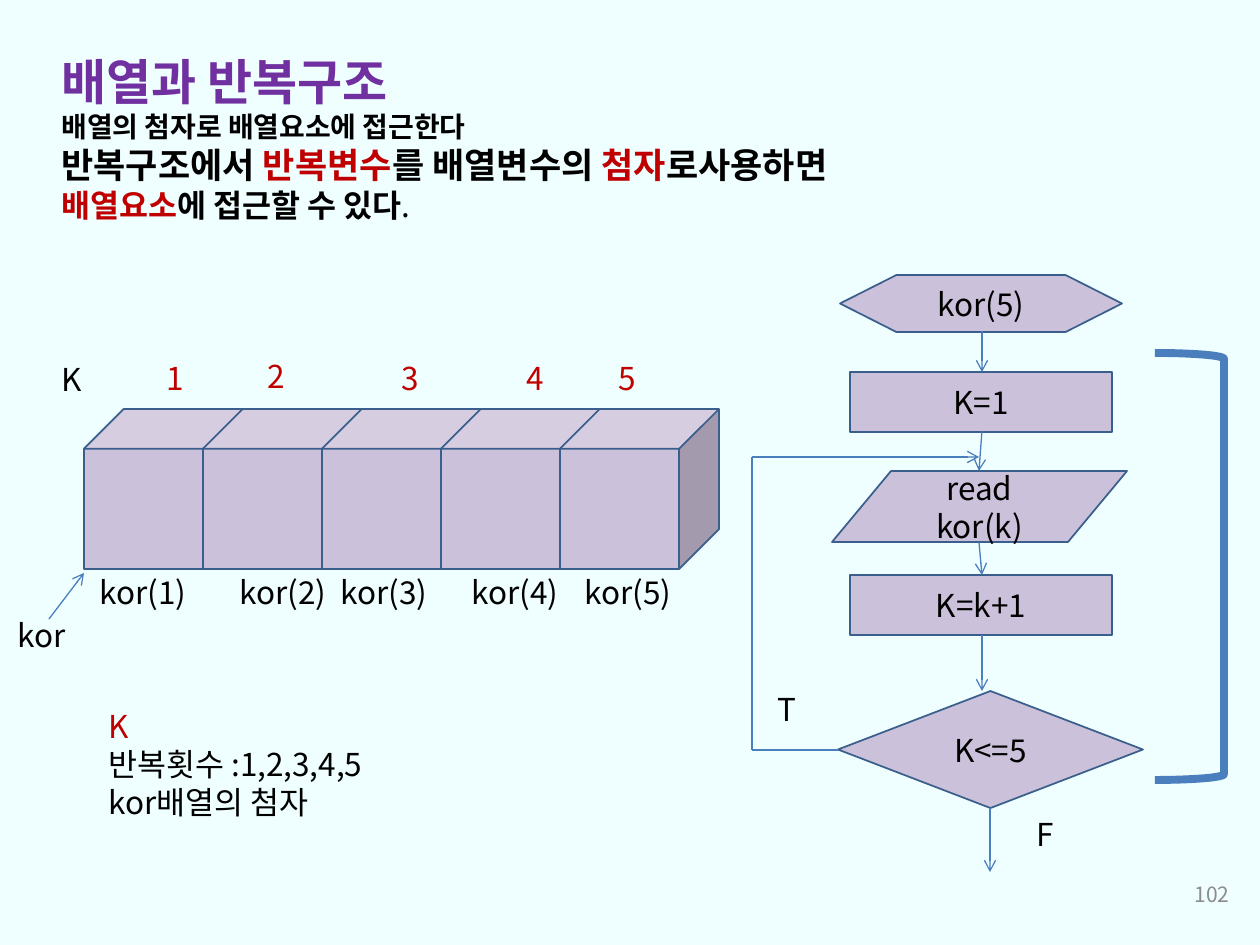
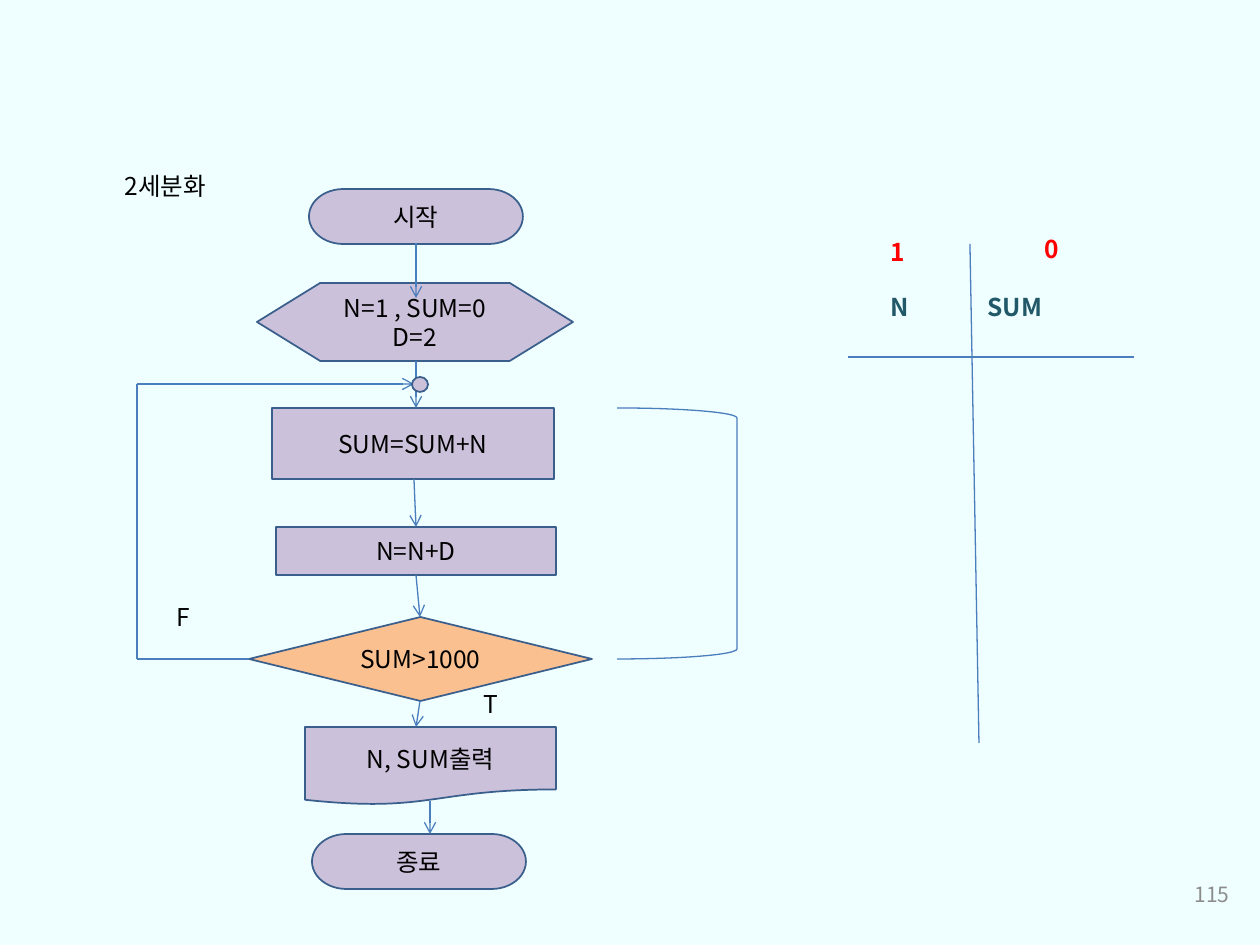
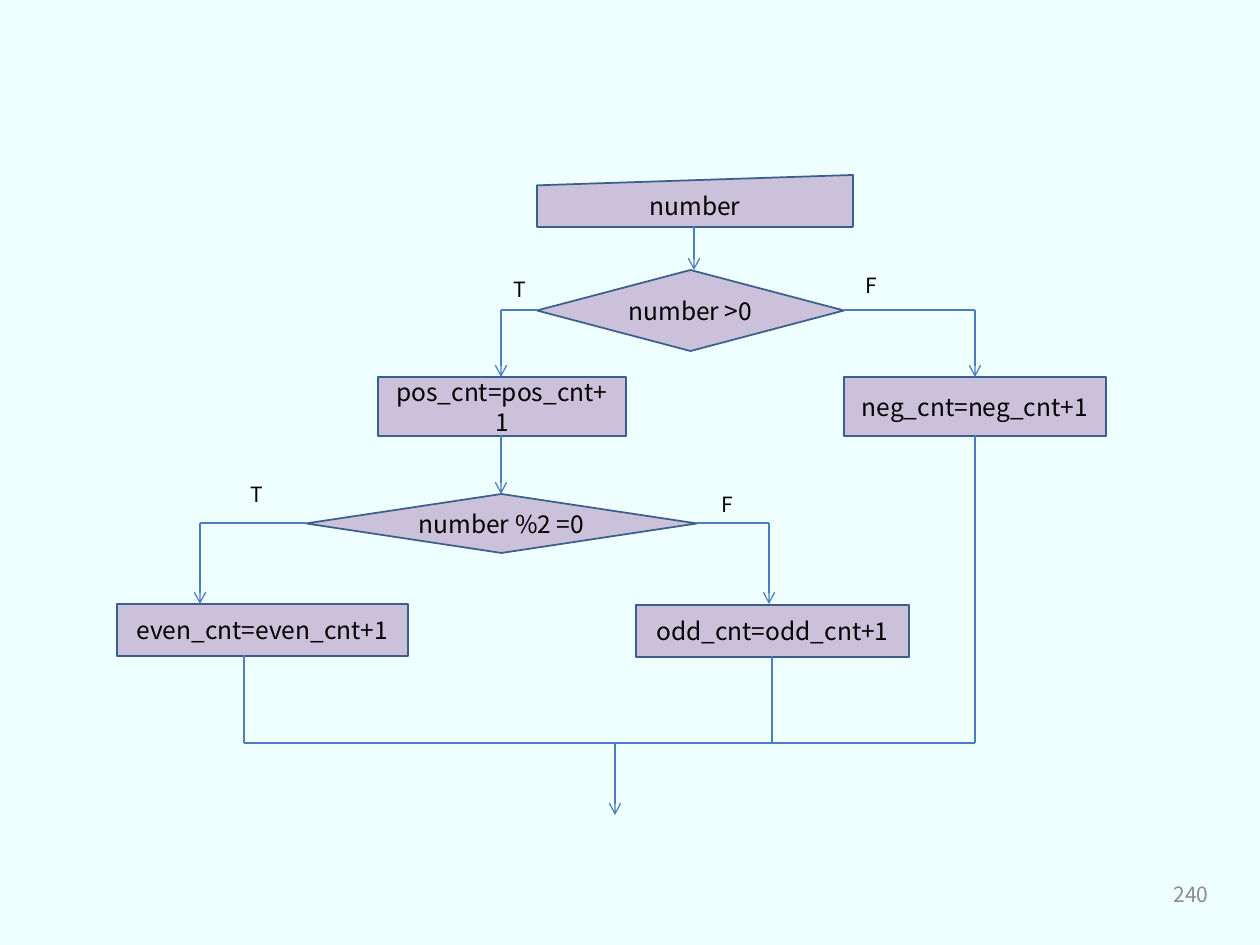
from dataclasses import dataclass
from itertools import pairwise
from typing import Any

from lxml.etree import SubElement as Sub
from pptx import Presentation
from pptx.dml.color import RGBColor as Rgb
from pptx.enum.shapes import MSO_CONNECTOR as Wire, MSO_SHAPE as Kind
from pptx.enum.text import MSO_ANCHOR as Anchor, PP_ALIGN as Align
from pptx.oxml.ns import qn
from pptx.util import Pt

HUES = {
    "back": "EFFEFE",
    "lilac": "CCC1DA",
    "peach": "FAC090",
    "edge": "3A5F8C",
    "wire": "4B7EBC",
    "black": "000000",
    "violet": "7030A0",
    "crimson": "C00000",
    "red": "FF0000",
    "teal": "215968",
    "grey": "8C8C8C",
}
FACE = "Noto Sans CJK KR"
SCALE = 914400 / 126


def px(count: int) -> int:
    return round(count * SCALE)


def hue(name: str) -> Rgb:
    return Rgb.from_string(HUES[name])


@dataclass
class Part:
    text: str
    ink: str = "black"
    bold: bool = True


@dataclass
class Line:
    text: str | tuple[Part, ...]
    size: int = 18
    ink: str = "black"
    bold: bool = False
    align: Any = Align.LEFT


def write(frame: Any, lines: list[Line], anchor: Any) -> None:
    frame.word_wrap = True
    frame.vertical_anchor = anchor
    for spot, line in enumerate(lines):
        para = frame.add_paragraph() if spot else frame.paragraphs[0]
        para.alignment = line.align
        font = para.font
        font.name, font.size, font.bold = FACE, Pt(line.size), line.bold
        font.color.rgb = hue(line.ink)
        Sub(font._rPr, qn("a:ea"), typeface=FACE)
        if isinstance(line.text, str):
            para.add_run().text = line.text
            continue
        for part in line.text:
            run = para.add_run()
            run.text = part.text
            run.font.bold = part.bold
            run.font.color.rgb = hue(part.ink)


@dataclass
class Box:
    kind: Any
    left: int
    top: int
    wide: int
    high: int
    text: str = ""
    size: int = 14
    fill: str = "lilac"

    def draw(self, slide: Any) -> None:
        shape = slide.shapes.add_shape(
            self.kind, px(self.left), px(self.top), px(self.wide), px(self.high))
        shape.shadow.inherit = False
        shape.fill.solid()
        shape.fill.fore_color.rgb = hue(self.fill)
        shape.line.color.rgb = hue("edge")
        shape.line.width = Pt(1)
        if self.text:
            lines = [Line(row, self.size, align=Align.CENTER) for row in self.text.split("\n")]
            write(shape.text_frame, lines, Anchor.MIDDLE)


@dataclass
class Brace:
    left: int
    top: int
    wide: int
    high: int
    weight: float = 0.75

    def draw(self, slide: Any) -> None:
        shape = slide.shapes.add_shape(
            Kind.RIGHT_BRACKET, px(self.left), px(self.top), px(self.wide), px(self.high))
        shape.shadow.inherit = False
        shape.fill.background()
        shape.line.color.rgb = hue("wire")
        shape.line.width = Pt(self.weight)


@dataclass
class Route:
    stops: list[tuple[int, int]]
    tip: bool = True

    def draw(self, slide: Any) -> None:
        for start, end in pairwise(self.stops):
            wire = slide.shapes.add_connector(Wire.STRAIGHT, *map(px, start + end))
            wire.line.color.rgb = hue("wire")
            wire.line.width = Pt(0.75)
            if self.tip and end == self.stops[-1]:
                Sub(wire.line._get_or_add_ln(), qn("a:tailEnd"), type="arrow")
            Sub(wire._element.spPr, qn("a:effectLst"))


@dataclass
class Note:
    left: int
    top: int
    wide: int
    high: int
    lines: list[Line]
    anchor: Any = Anchor.TOP

    def draw(self, slide: Any) -> None:
        box = slide.shapes.add_textbox(
            px(self.left), px(self.top), px(self.wide), px(self.high))
        write(box.text_frame, self.lines, self.anchor)


Item = Box | Brace | Route | Note


def label(left: int, top: int, wide: int, high: int, text: str, size: int = 18,
          ink: str = "black", bold: bool = False) -> Note:
    return Note(left, top, wide, high, [Line(text, size, ink, bold)])


def page(deck: Any, count: int, items: list[Item], left: int = 948) -> None:
    slide = deck.slides.add_slide(deck.slide_layouts[6])
    slide.background.fill.solid()
    slide.background.fill.fore_color.rgb = hue("back")
    foot = Line(str(count), 12, "grey", align=Align.RIGHT)
    for item in [*items, Note(left, 869, 294, 50, [foot], Anchor.MIDDLE)]:
        item.draw(slide)


def array() -> list[Item]:
    head = [
        Line("배열과 반복구조", 28, "violet", True),
        Line("배열의 첨자로 배열요소에 접근한다", 16, bold=True),
        Line((Part("반복구조에서 "), Part("반복변수", "crimson"), Part("를 배열변수의 "),
              Part("첨자", "crimson"), Part("로사용하면")), 20, bold=True),
        Line((Part("배열요소", "crimson"), Part("에 접근할 수 있다"),
              Part(".", bold=False)), 18, bold=True),
    ]
    body = [Line("K", ink="crimson"), Line("반복횟수 :1,2,3,4,5"), Line("kor배열의 첨자")]
    cells = [Box(Kind.CUBE, 84 + 119 * step, 409, 159, 160) for step in range(5)]
    tops = [(154, 353), (255, 351), (389, 353), (514, 353), (606, 353)]
    marks = [label(left, top, 116, 50, str(step), ink="crimson")
             for step, (left, top) in enumerate(tops, 1)]
    names = [label(left, 567, 137, 50, f"kor({step})")
             for step, left in enumerate((87, 227, 328, 459, 572), 1)]
    return [
        Note(49, 45, 1052, 186, head),
        *cells, *marks, *names,
        label(5, 610, 137, 50, "kor"),
        label(49, 354, 93, 50, "K"),
        Note(96, 701, 476, 127, body),
        Route([(49, 619), (84, 573)]),
        Box(Kind.FLOWCHART_PREPARATION, 840, 275, 282, 57, "kor(5)", 18),
        Box(Kind.RECTANGLE, 850, 372, 262, 60, "K=1", 18),
        Box(Kind.FLOWCHART_DATA, 832, 471, 295, 71, "read kor(k)", 18),
        Box(Kind.RECTANGLE, 850, 575, 262, 60, "K=k+1", 18),
        Box(Kind.FLOWCHART_DECISION, 838, 691, 305, 117, "K<=5", 18),
        Route([(838, 750), (752, 750), (752, 457), (979, 457)]),
        Route([(982, 331), (982, 372)]),
        Route([(982, 431), (979, 471)]),
        Route([(979, 542), (982, 575)]),
        Route([(982, 635), (982, 691)]),
        Route([(990, 808), (990, 872)]),
        label(765, 684, 86, 43, "T"),
        label(1024, 809, 86, 43, "F"),
        Brace(1155, 353, 69, 427, 4.5),
    ]


def total() -> list[Item]:
    return [
        label(112, 165, 146, 54, "2세분화", 14),
        Box(Kind.FLOWCHART_TERMINATOR, 309, 189, 214, 55, "시작"),
        Box(Kind.FLOWCHART_PREPARATION, 257, 283, 316, 78, "N=1 , SUM=0\nD=2"),
        Box(Kind.FLOWCHART_PROCESS, 272, 408, 282, 71, "SUM=SUM+N"),
        Box(Kind.FLOWCHART_PROCESS, 276, 527, 280, 48, "N=N+D"),
        Box(Kind.FLOWCHART_DECISION, 249, 617, 343, 84, "SUM>1000", fill="peach"),
        Box(Kind.FLOWCHART_DOCUMENT, 305, 727, 251, 78, "N, SUM출력"),
        Box(Kind.FLOWCHART_TERMINATOR, 312, 834, 214, 55, "종료"),
        Route([(416, 243), (416, 298)]),
        Route([(416, 361), (416, 408)]),
        Route([(414, 479), (416, 527)]),
        Route([(416, 575), (420, 617)]),
        Route([(420, 701), (416, 727)]),
        Route([(430, 801), (430, 834)]),
        Route([(249, 659), (137, 659), (137, 384), (414, 384)]),
        Box(Kind.FLOWCHART_CONNECTOR, 412, 377, 16, 15),
        label(164, 596, 86, 54, "F", 14),
        label(471, 683, 86, 54, "T", 14),
        Brace(617, 408, 120, 251),
        label(878, 286, 90, 53, "N", 14, "teal", True),
        label(975, 286, 159, 53, "SUM", 14, "teal", True),
        Route([(848, 357), (1134, 357)], False),
        Route([(970, 244), (979, 743)], False),
        label(878, 231, 102, 40, "1", 14, "red", True),
        label(1032, 228, 102, 40, "0", 14, "red", True),
    ]


def counts() -> list[Item]:
    signs = [("T", 501, 270), ("F", 853, 266), ("T", 238, 475), ("F", 709, 485)]
    return [
        Box(Kind.FLOWCHART_MANUAL_INPUT, 537, 175, 316, 52, "number"),
        Box(Kind.FLOWCHART_DECISION, 537, 270, 307, 81, "number >0"),
        Box(Kind.RECTANGLE, 378, 377, 248, 59, "pos_cnt=pos_cnt+1"),
        Box(Kind.RECTANGLE, 844, 377, 262, 59, "neg_cnt=neg_cnt+1"),
        Box(Kind.FLOWCHART_DECISION, 306, 494, 391, 59, "number %2 =0"),
        Box(Kind.RECTANGLE, 117, 604, 291, 52, "even_cnt=even_cnt+1"),
        Box(Kind.RECTANGLE, 636, 605, 273, 52, "odd_cnt=odd_cnt+1"),
        Route([(694, 226), (694, 270)]),
        Route([(537, 310), (501, 310), (501, 377)]),
        Route([(844, 310), (975, 310), (975, 377)]),
        Route([(501, 435), (501, 494)]),
        Route([(306, 523), (200, 523), (200, 604)]),
        Route([(697, 523), (769, 523), (769, 604)]),
        Route([(244, 655), (244, 743), (975, 743), (975, 435)], False),
        Route([(772, 656), (772, 743)], False),
        Route([(615, 743), (615, 815)]),
        *(label(left, top, 59, 38, sign, 12) for sign, left, top in signs),
    ]


def main() -> None:
    deck = Presentation()
    deck.slide_width, deck.slide_height = px(1260), px(945)
    page(deck, 102, array())
    page(deck, 115, total())
    page(deck, 240, counts(), 927)
    deck.save("out.pptx")


if __name__ == "__main__":
    main()
